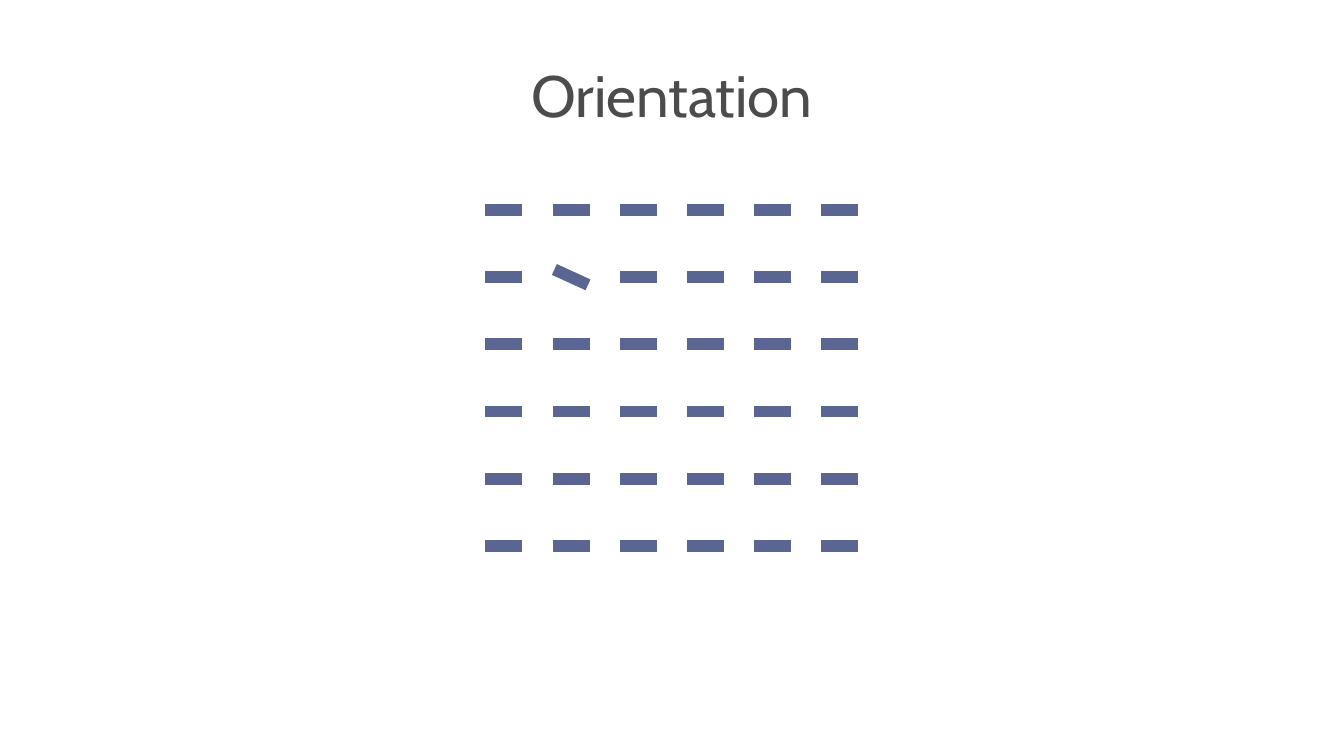
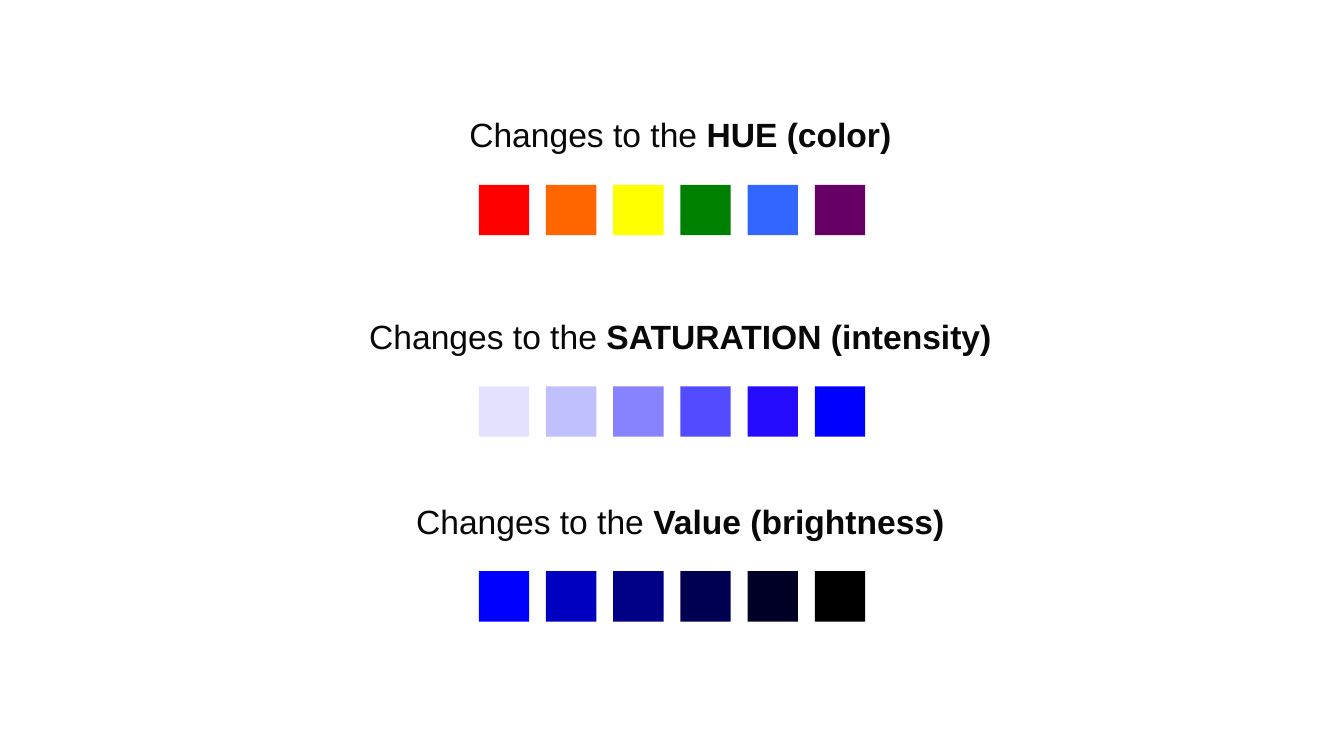
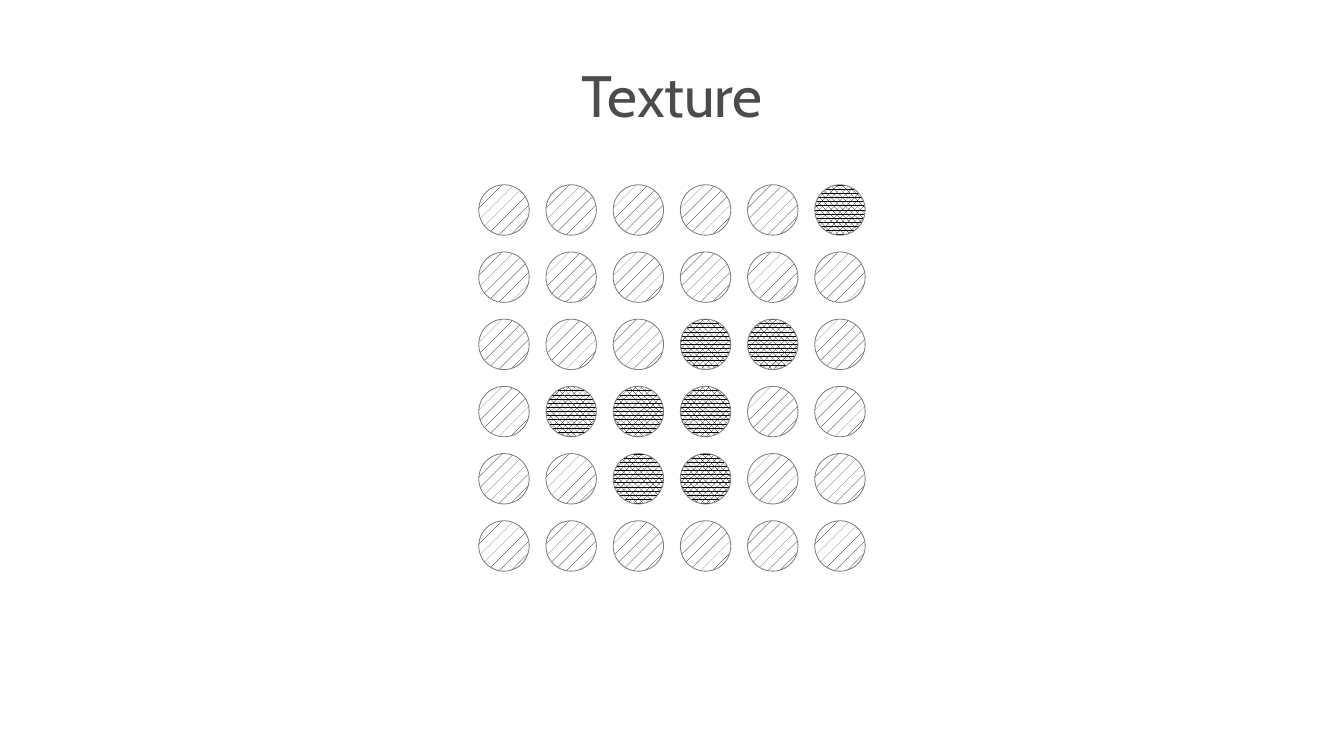
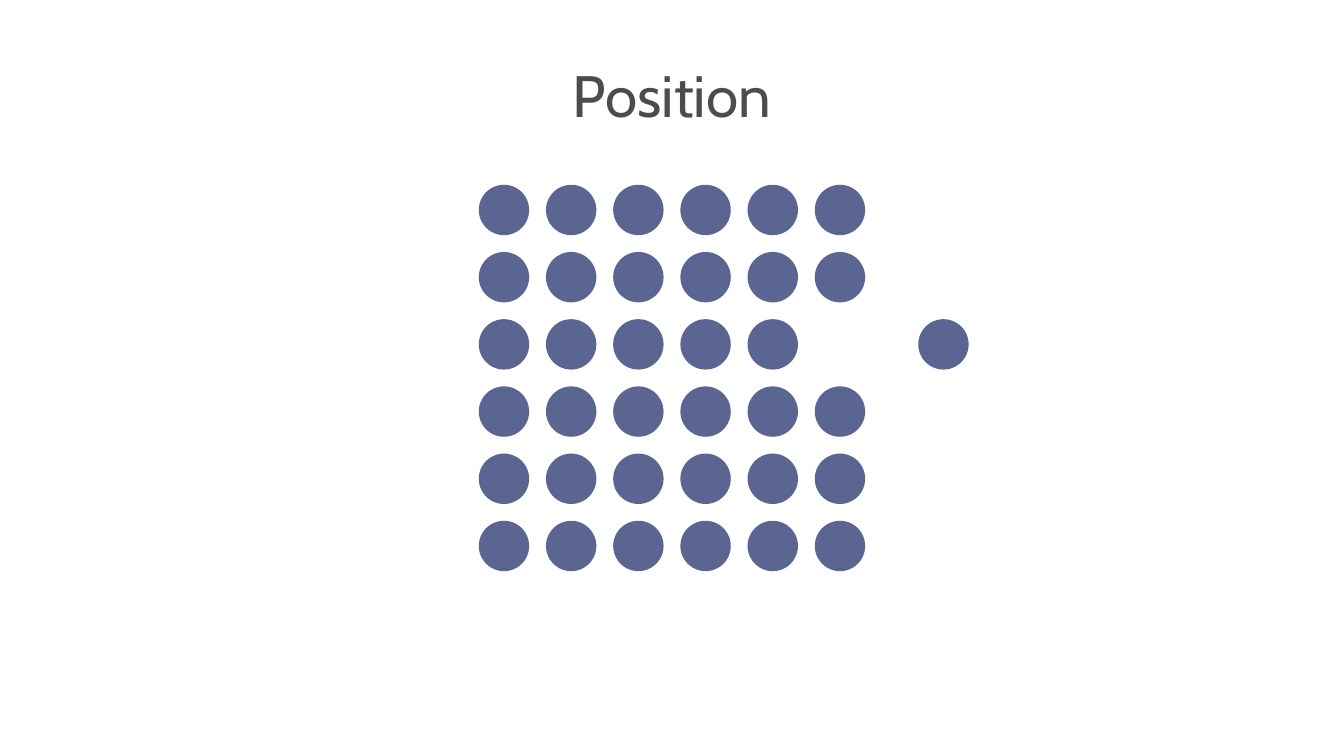
from dataclasses import dataclass
from itertools import product

from pptx import Presentation
from pptx.dml.color import RGBColor
from pptx.enum.dml import MSO_PATTERN
from pptx.enum.shapes import MSO_SHAPE
from pptx.enum.text import MSO_ANCHOR, MSO_AUTO_SIZE, PP_ALIGN
from pptx.util import Inches, Pt


@dataclass(frozen=True)
class Theme:
    paper: str = "FFFFFF"
    ink: str = "000000"
    heading: str = "4C4C4C"
    caption: str = "080808"
    accent: str = "5B6591"
    outline: str = "808080"
    title_font: str = "Cabin"
    caption_font: str = "Arial"
    title_size: float = 50
    caption_size: float = 28.8
    outline_width: float = 0.75


WIDTH, HEIGHT = 16, 9
COUNT = 6
GRID_LEFT, GRID_TOP = 5.7, 2.2
PITCH, MARK = 0.8, 0.6
CAPTION_RISE = 0.9
CELLS = list(product(range(COUNT), repeat=2))


def rgb(value):
    return RGBColor.from_string(value)


def apply(target, **values):
    for name, value in values.items():
        setattr(target, name, value)


class Board:
    """Holds the theme and the slide being built; marks sit in grid columns and rows."""

    def __init__(self, theme):
        self.theme = theme
        self.deck = Presentation()
        apply(self.deck, slide_width=Inches(WIDTH), slide_height=Inches(HEIGHT))
        self.page = None

    def new_page(self, title=None):
        self.page = self.deck.slides.add_slide(self.deck.slide_layouts[6])
        fill = self.page.background.fill
        fill.solid()
        fill.fore_color.rgb = rgb(self.theme.paper)
        if title:
            self.title(title)

    def text(self, area, spans, color, margins=(0, 0), spacing=1.0, **font):
        """Add one centred paragraph; spans are (text, bold) pairs."""
        box = self.page.shapes.add_textbox(*map(Inches, area))
        frame = box.text_frame
        side, edge = map(Inches, margins)
        apply(frame, word_wrap=True, auto_size=MSO_AUTO_SIZE.NONE,
              vertical_anchor=MSO_ANCHOR.TOP, margin_left=side,
              margin_right=side, margin_top=edge, margin_bottom=edge)
        para = frame.paragraphs[0]
        apply(para, alignment=PP_ALIGN.CENTER, line_spacing=spacing)
        for words, bold in spans:
            span = para.add_run()
            span.text = words
            apply(span.font, bold=bold, **font)
            span.font.color.rgb = rgb(color)
        return box

    def title(self, words):
        box = self.text((0, 0.87, WIDTH, 0.67), [(words, False)],
                        self.theme.heading, spacing=0.8,
                        name=self.theme.title_font, size=Pt(self.theme.title_size))
        box.text_frame.auto_size = MSO_AUTO_SIZE.SHAPE_TO_FIT_TEXT

    def caption(self, row, words):
        top = GRID_TOP + row * PITCH - CAPTION_RISE
        self.text((2.6, top, 11, 0.7), [("Changes to the ", False), (words, True)],
                  self.theme.caption, margins=(0.12, 0.06),
                  name=self.theme.caption_font, size=Pt(self.theme.caption_size))

    def mark(self, kind, column, row, color=None, turn=0):
        left, top = GRID_LEFT + column * PITCH, GRID_TOP + row * PITCH
        shape = self.page.shapes.add_shape(kind, *map(Inches, (left, top, MARK, MARK)))
        shape.shadow.inherit = False
        shape.rotation = turn
        shape.fill.solid()
        shape.fill.fore_color.rgb = rgb(color or self.theme.accent)
        shape.line.fill.background()
        return shape

    def textured_mark(self, column, row, pattern):
        shape = self.mark(MSO_SHAPE.OVAL, column, row)
        shape.fill.patterned()
        shape.fill.pattern = pattern
        shape.fill.fore_color.rgb = rgb(self.theme.ink)
        shape.fill.back_color.rgb = rgb(self.theme.paper)
        shape.line.color.rgb = rgb(self.theme.outline)
        shape.line.width = Pt(self.theme.outline_width)

    def swatches(self, row, words, colors):
        self.caption(row, words)
        for column, color in enumerate(colors.split()):
            self.mark(MSO_SHAPE.RECTANGLE, column, row, color)


def orientation(board):
    board.new_page("Orientation")
    for cell in CELLS:
        board.mark(MSO_SHAPE.MATH_MINUS, *cell, turn=24.5 if cell == (1, 1) else 0)


def color_changes(board):
    board.new_page()
    board.swatches(0, "HUE (color)", "FF0000 FF6600 FFFF00 008000 3366FF 660066")
    board.swatches(3, "SATURATION (intensity)",
                   "E2E1FF C1C0FF 8783FF 524BFF 250CFF 0000FF")
    board.swatches(5.75, "Value (brightness)",
                   "0000FF 0000C1 000087 000053 000026 000000")


def texture(board):
    board.new_page("Texture")
    dense = {(5, 0), (3, 2), (4, 2), (1, 3), (2, 3), (3, 3), (2, 4), (3, 4)}
    for cell in CELLS:
        board.textured_mark(
            *cell, MSO_PATTERN.PERCENT_70 if cell in dense else MSO_PATTERN.PERCENT_5)


def position(board):
    board.new_page("Position")
    moved = {(5, 2): (6.54, 2)}
    for cell in CELLS:
        board.mark(MSO_SHAPE.OVAL, *moved.get(cell, cell))


def main():
    board = Board(Theme())
    for build in (orientation, color_changes, texture, position):
        build(board)
    board.deck.save("out.pptx")


if __name__ == "__main__":
    main()
